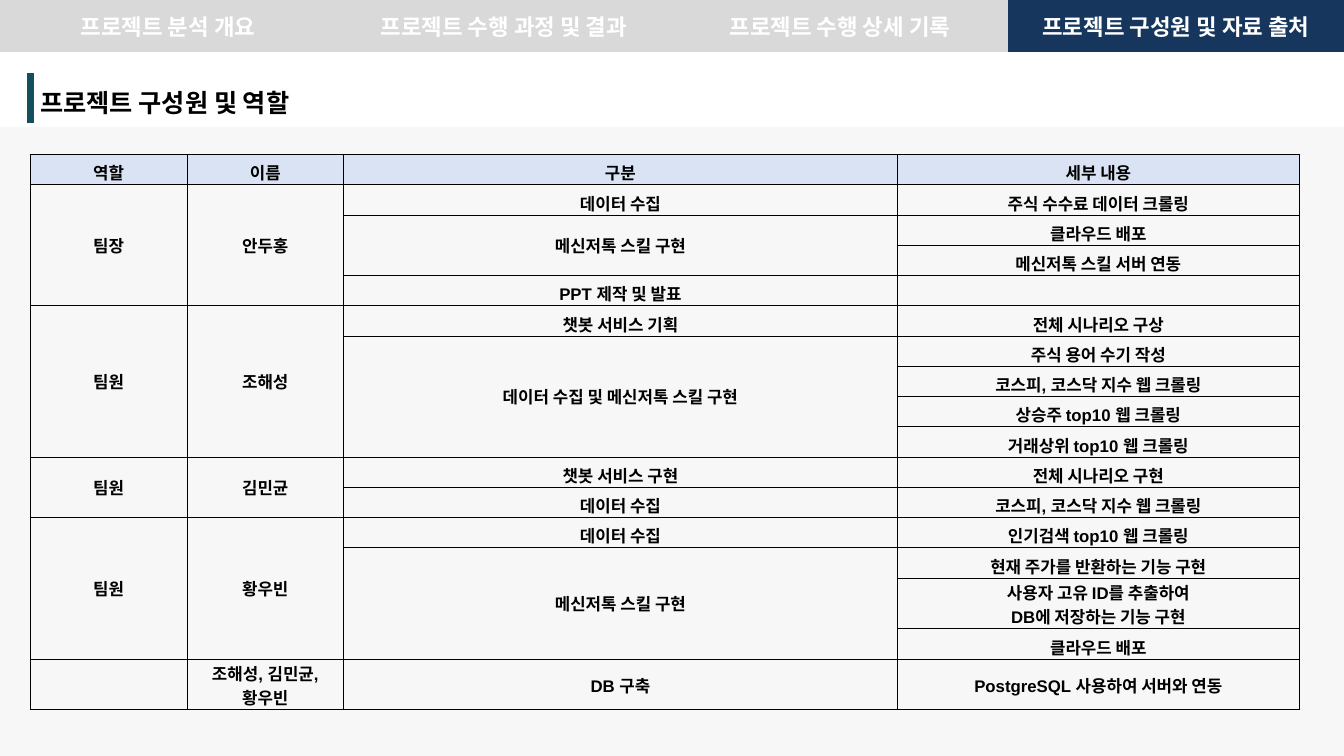
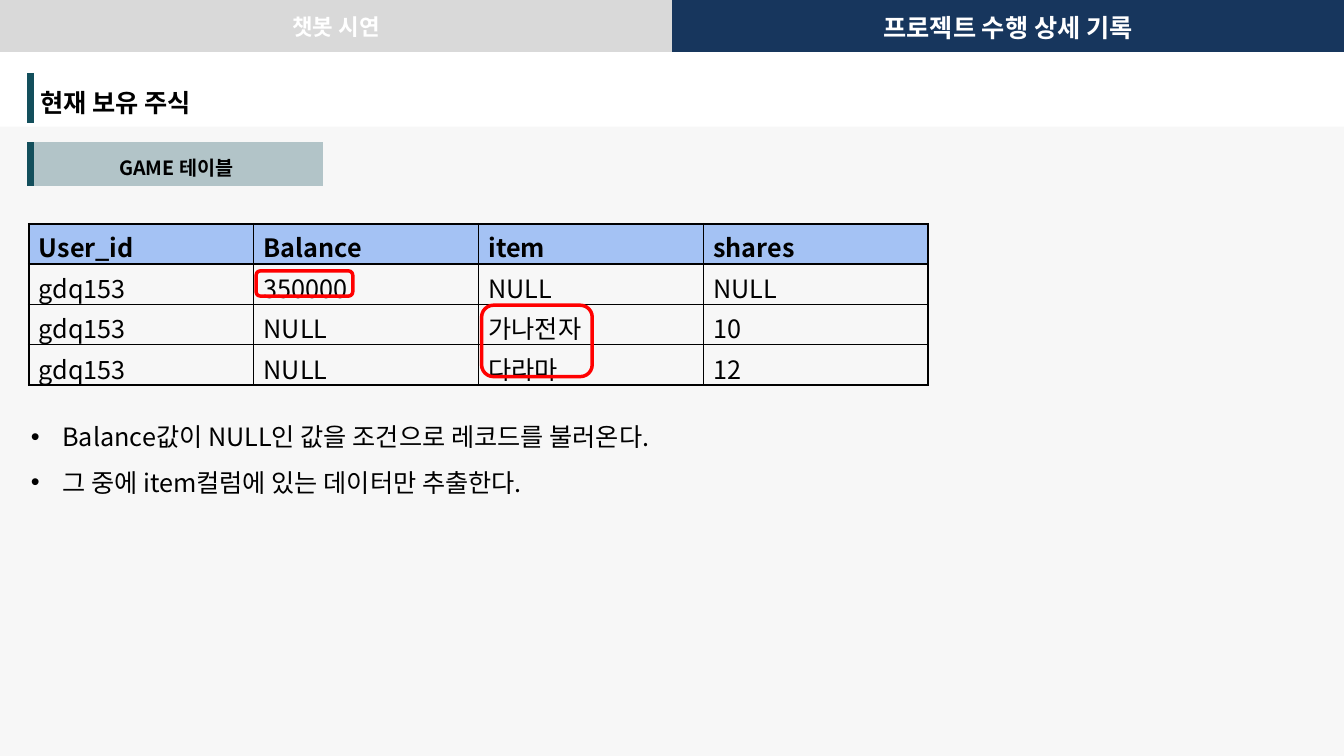
from dataclasses import dataclass

from lxml.etree import SubElement
from pptx import Presentation
from pptx.dml.color import RGBColor
from pptx.enum.shapes import MSO_SHAPE
from pptx.enum.text import MSO_ANCHOR, PP_ALIGN
from pptx.oxml.ns import qn
from pptx.util import Pt


@dataclass(frozen=True)
class Theme:
    black: str = "000000"
    white: str = "FFFFFF"
    panel: str = "F2F2F2"
    idle: str = "D9D9D9"
    navy: str = "17365D"
    teal: str = "134F5C"
    pale: str = "DAE3F3"
    blue: str = "A4C2F4"
    red: str = "FF0000"
    sans: str = "Noto Sans CJK KR"
    grid: str = "Arial"
    tabs: str = "Calibri"
    title: int = 18
    tab: int = 16
    label: int = 14
    small: int = 12


T = Theme()
WIDE, HIGH = 960, 540
LEFT = 21.6
NAV = 37.5

ROLES = ["역할", "이름", "구분", "세부 내용"]
# Each member: role, name, then tasks with their details
TEAM = [
    ("팀장", "안두홍", [
        ("데이터 수집", ["주식 수수료 데이터 크롤링"]),
        ("메신저톡 스킬 구현", ["클라우드 배포", "메신저톡 스킬 서버 연동"]),
        ("PPT 제작 및 발표", [""])]),
    ("팀원", "조해성", [
        ("챗봇 서비스 기획", ["전체 시나리오 구상"]),
        ("데이터 수집 및 메신저톡 스킬 구현", [
            "주식 용어 수기 작성", "코스피, 코스닥 지수 웹 크롤링",
            "상승주 top10 웹 크롤링", "거래상위 top10 웹 크롤링"])]),
    ("팀원", "김민균", [
        ("챗봇 서비스 구현", ["전체 시나리오 구현"]),
        ("데이터 수집", ["코스피, 코스닥 지수 웹 크롤링"])]),
    ("팀원", "황우빈", [
        ("데이터 수집", ["인기검색 top10 웹 크롤링"]),
        ("메신저톡 스킬 구현", [
            "현재 주가를 반환하는 기능 구현",
            "사용자 고유 ID를 추출하여\nDB에 저장하는 기능 구현",
            "클라우드 배포"])]),
    ("", "조해성, 김민균, 황우빈", [
        ("DB 구축", ["PostgreSQL 사용하여 서버와 연동"])]),
]
STOCK = [
    ["User_id", "Balance", "item", "shares"],
    ["gdq153", "350000", "NULL", "NULL"],
    ["gdq153", "NULL", "가나전자", "10"],
    ["gdq153", "NULL", "다라마", "12"],
]
NOTES = [
    "Balance값이 NULL인 값을 조건으로 레코드를 불러온다.",
    "그 중에 item컬럼에 있는 데이터만 추출한다.",
]


def rgb(code):
    return RGBColor.from_string(code)


def fade(fill, part):
    """Make a solid fill show only `part` percent."""
    color = fill._xPr.find(qn("a:solidFill"))[0]
    SubElement(color, qn("a:alpha"), val=str(part * 1000))


def style(para, size, face, color=T.black, bold=False, align=None):
    para.alignment = align
    font = para.font
    font.size, font.name, font.bold = Pt(size), face, bold
    font.color.rgb = rgb(color)
    if not para.runs:
        SubElement(para._p, qn("a:endParaRPr"), sz=str(size * 100))


def edge(cell, **sides):
    """Set borders L, R, T, B as (colour, width); the others get none."""
    props = cell._tc.get_or_add_tcPr()
    for side in "LRTB":
        color, width = sides.get(side) or (None, 0)
        line = SubElement(props, qn(f"a:ln{side}"), w=str(Pt(width)))
        if color:
            paint = SubElement(line, qn("a:solidFill"))
            SubElement(paint, qn("a:srgbClr"), val=color)
        else:
            SubElement(line, qn("a:noFill"))


def put(cell, text, size, face, fill=None, inset=(7.2, 3.6, 3.6),
        anchor=None, sides=None, **look):
    """Fill a cell; inset is (left and right, top, bottom)."""
    cell.text = text
    cell.vertical_anchor = anchor
    side, top, bottom = inset
    cell.margin_left = cell.margin_right = Pt(side)
    cell.margin_top, cell.margin_bottom = Pt(top), Pt(bottom)
    edge(cell, **(sides or {}))
    if fill:
        cell.fill.solid()
        cell.fill.fore_color.rgb = rgb(fill)
    else:
        cell.fill.background()
    for para in cell.text_frame.paragraphs:
        style(para, size, face, **look)


def table(slide, left, top, cols, rows):
    """Add a plain table from column widths and row heights."""
    frame = slide.shapes.add_table(len(rows), len(cols), Pt(left), Pt(top),
                                   Pt(sum(cols)), Pt(sum(rows)))
    grid = frame.table
    grid.first_row = grid.horz_banding = False
    for col, width in zip(grid.columns, cols):
        col.width = Pt(width)
    for row, height in zip(grid.rows, rows):
        row.height = Pt(height)
    return grid


def nav(slide, names, big):
    """Draw the top tabs; the last one is the current one."""
    count = len(names)
    grid = table(slide, 0, 0, [WIDE / count] * count, [NAV])
    for spot, name in enumerate(names):
        here = spot == count - 1
        put(grid.cell(0, spot), name, big if here else T.tab, T.tabs,
            fill=T.navy if here else T.idle, inset=(2.9, 2.9, 2.9),
            anchor=MSO_ANCHOR.MIDDLE, color=T.white, bold=True,
            align=PP_ALIGN.CENTER)


def tag(slide, text, top, width, height, size, fill=None, align=None):
    """Draw a heading with a teal bar at its left."""
    cell = table(slide, LEFT, top, [width], [height]).cell(0, 0)
    put(cell, text, size, T.sans, fill=fill, inset=(7.2, 7.2, 2),
        sides={"L": (T.teal, 6)}, bold=True, align=align)
    return cell


def base(deck, title, names, big):
    slide = deck.slides.add_slide(deck.slide_layouts[6])
    top = 90.5
    panel = slide.shapes.add_shape(MSO_SHAPE.RECTANGLE, 0, Pt(top),
                                   Pt(WIDE), Pt(HIGH - top))
    panel.shadow.inherit = False
    panel.line.fill.background()
    panel.fill.solid()
    panel.fill.fore_color.rgb = rgb(T.panel)
    fade(panel.fill, 59)
    nav(slide, names, big)
    tag(slide, title, 52, 394.5, 36, T.title)
    return slide


def team(slide):
    rows = [21.6] * 17
    rows[14] = rows[16] = 36.3
    grid = table(slide, LEFT, 110.5, [112, 111.8, 395.6, 287.2], rows)
    texts = {(0, col): text for col, text in enumerate(ROLES)}
    spans = {}
    row = 1
    for role, name, tasks in TEAM:
        first = row
        texts[row, 0], texts[row, 1] = role, name
        for task, items in tasks:
            texts[row, 2] = task
            spans[row, 2] = len(items)
            for item in items:
                texts[row, 3] = item
                row += 1
        spans[first, 0] = spans[first, 1] = row - first
    for row, height in enumerate(rows):
        for col in range(len(ROLES)):
            size = spans.get((row, col), 1)
            if size > 1:
                top = bottom = 3.6
            else:
                top, bottom = (4 if height < 30 else 1.2), 0
            put(grid.cell(row, col), texts.get((row, col), ""), T.small,
                T.grid, fill=None if row else T.pale,
                inset=(7.2, top, bottom), anchor=MSO_ANCHOR.MIDDLE,
                sides=dict.fromkeys("LRTB", (T.black, 0.75)),
                bold=True, align=PP_ALIGN.CENTER)
    for (row, col), size in spans.items():
        if size > 1:
            grid.cell(row, col).merge(grid.cell(row + size - 1, col))


def stock(slide):
    grid = table(slide, 20.6, 159.8, [160.6] * 4, [28.8] * 4)
    last = len(STOCK) - 1
    for row, line in enumerate(STOCK):
        for col, text in enumerate(line):
            thick = {"L": col == 0, "R": col == last,
                     "T": row < 2, "B": row in (0, last)}
            sides = {side: (T.black, 1.5 if wide else 1)
                     for side, wide in thick.items()}
            put(grid.cell(row, col), text, T.title, T.sans,
                fill=None if row else T.blue, sides=sides, bold=row == 0)


def ring(slide, left, top, width, height):
    shape = slide.shapes.add_shape(MSO_SHAPE.ROUNDED_RECTANGLE, Pt(left),
                                   Pt(top), Pt(width), Pt(height))
    shape.shadow.inherit = False
    shape.fill.background()
    shape.line.color.rgb = rgb(T.red)
    shape.line.width = Pt(2.5)


def notes(slide):
    box = slide.shapes.add_textbox(Pt(15), Pt(286.8), Pt(641.5), Pt(62))
    frame = box.text_frame
    frame.word_wrap = True
    frame.text = "\n".join(NOTES)
    for para in frame.paragraphs:
        para.line_spacing = 1.5
        props = para._p.get_or_add_pPr()
        props.set("marL", str(Pt(22.5)))
        props.set("indent", str(Pt(-22.5)))
        SubElement(props, qn("a:buFont"), typeface="Arial")
        SubElement(props, qn("a:buChar"), char="•")
        style(para, T.title, T.sans)


def main():
    deck = Presentation()
    deck.slide_width, deck.slide_height = Pt(WIDE), Pt(HIGH)

    slide = base(deck, "프로젝트 구성원 및 역할", [
        "프로젝트 분석 개요", "프로젝트 수행 과정 및 결과",
        "프로젝트 수행 상세 기록", "프로젝트 구성원 및 자료 출처"], T.tab)
    team(slide)

    slide = base(deck, "현재 보유 주식",
                 ["챗봇 시연", "프로젝트 수행 상세 기록"], T.title)
    cell = tag(slide, "GAME 테이블", 101.5, 209, 31.2, T.label,
               fill=T.teal, align=PP_ALIGN.CENTER)
    fade(cell.fill, 30)
    notes(slide)
    stock(slide)
    ring(slide, 344, 218, 79, 51)
    ring(slide, 183, 193.5, 69, 18)
    deck.save("out.pptx")


if __name__ == "__main__":
    main()
